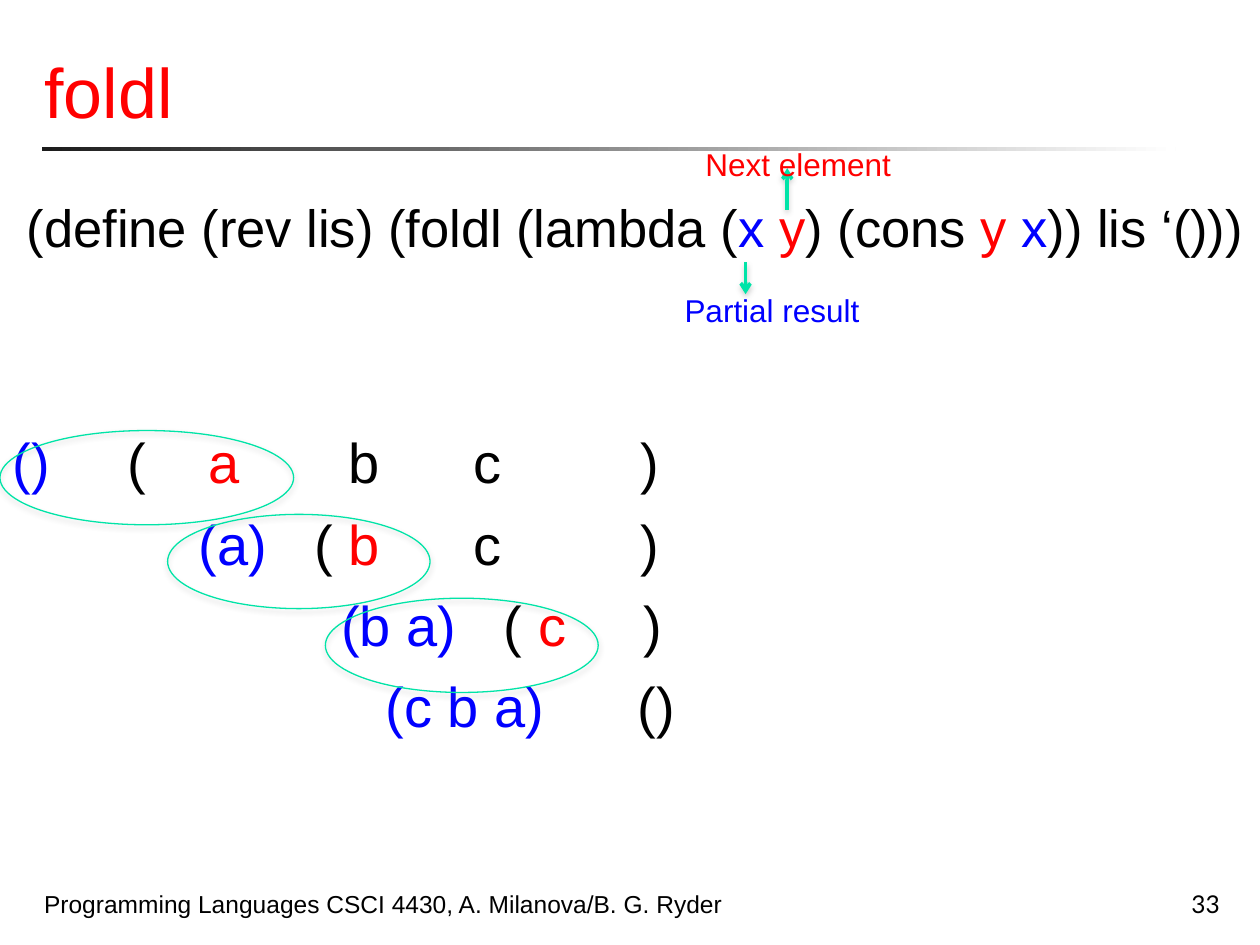
from lxml import etree
from pptx import Presentation
from pptx.dml.color import RGBColor
from pptx.enum.shapes import MSO_CONNECTOR, MSO_SHAPE
from pptx.enum.text import MSO_ANCHOR, PP_ALIGN
from pptx.oxml import parse_xml
from pptx.oxml.ns import nsdecls, qn
from pptx.util import Cm, Pt

COLORS = {
    "black": "000000", "red": "FF0000", "blue": "0000FF", "white": "FFFFFF",
    "ring": "00E4A7", "arrow": "00E4A8", "rule": "1C1C1C", "shadow": "808080",
}

# Each step of the fold: tab stops in cm, then coloured runs
FOLD_STEPS = [
    ([2.32, 3.95, 6.78, 9.29, 12.67],
     [("()", "blue"), ("\t(\t", "black"), ("a", "red"), ("\tb\tc\t)", "black")]),
    ([3.76, 6.09, 9.29, 12.67],
     [("\t(a)", "blue"), ("\t( ", "black"), ("b", "red"), ("\tc\t)", "black")]),
    ([6.63, 9.91, 12.73],
     [("\t(b a)", "blue"), ("\t( ", "black"), ("c", "red"), ("\t)", "black")]),
    ([7.52, 12.61], [("\t(c b a)", "blue"), ("\t()", "black")]),
]
DEFINITION = [
    ("(define (rev lis) (foldl (lambda (", "black"), ("x ", "blue"), ("y", "red"),
    (") (cons ", "black"), ("y ", "red"), ("x", "blue"), (")) lis ‘()))", "black"),
]


def rgb(name):
    return RGBColor.from_string(COLORS[name])


def add_runs(paragraph, runs, size, font="Arial"):
    for text, color in runs:
        run = paragraph.add_run()
        run.text = text
        run.font.name = font
        run.font.size = Pt(size)
        run.font.color.rgb = rgb(color)


def add_text_frame(slide, box, wrap=True, anchor=MSO_ANCHOR.TOP):
    frame = slide.shapes.add_textbox(*map(Cm, box)).text_frame
    frame.word_wrap = wrap
    frame.vertical_anchor = anchor
    return frame


def set_tab_stops(paragraph, stops):
    tabs = etree.SubElement(paragraph._p.get_or_add_pPr(), qn("a:tabLst"))
    for stop in stops:
        etree.SubElement(tabs, qn("a:tab"), pos=str(Cm(stop)), algn="l")


def add_soft_shadow(shape, distance, opacity):
    shape._element.spPr.append(parse_xml(
        f'<a:effectLst {nsdecls("a")}><a:outerShdw blurRad="{Pt(3.1)}" '
        f'dist="{Pt(distance)}" dir="5400000" rotWithShape="0">'
        f'<a:srgbClr val="{COLORS["shadow"]}"><a:alpha val="{opacity * 1000}"/>'
        '</a:srgbClr></a:outerShdw></a:effectLst>'))


def add_heading(slide, box):
    """Title with a fading rule beneath it."""
    left, top, width, height = box
    title = slide.shapes.title
    title.left, title.top, title.width, title.height = map(Cm, box)
    title.text_frame.vertical_anchor = MSO_ANCHOR.BOTTOM
    heading = title.text_frame.paragraphs[0]
    heading.alignment = PP_ALIGN.LEFT
    add_runs(heading, [("foldl", "red")], 40)

    rule = slide.shapes.add_shape(
        MSO_SHAPE.RECTANGLE, Cm(left + 0.2), Cm(top + height + 0.18), Cm(22.86), Cm(0.08))
    rule.shadow.inherit = False
    rule.line.fill.background()
    rule.fill.gradient()
    rule.fill.gradient_angle = 0
    for stop, color in zip(rule.fill.gradient_stops, ("rule", "white")):
        stop.color.rgb = rgb(color)


def add_fold_trace(slide, box):
    """The definition, the fold steps below it, and a ring round each pair combined."""
    left, top = box[:2]
    frame = add_text_frame(slide, box)
    definition = frame.paragraphs[0]
    definition._p.get_or_add_pPr().set("marL", str(Cm(0.29)))
    add_runs(definition, DEFINITION, 30)
    for index, (stops, runs) in enumerate(FOLD_STEPS):
        step = frame.add_paragraph()
        step.space_before = Pt(8 if index else 97)
        set_tab_stops(step, stops)
        add_runs(step, runs, 32)

    for index, (x, width) in enumerate([(0, 5.92), (3.38, 5.29), (6.56, 5.5)]):
        ring = slide.shapes.add_shape(
            MSO_SHAPE.OVAL, Cm(left + x), Cm(top + 4.87 + 1.69 * index), Cm(width), Cm(1.9))
        ring.fill.background()
        ring.line.color.rgb = rgb("ring")
        ring.line.width = Pt(0.75)
        add_soft_shadow(ring, 1.8, 35)


def add_callout(slide, box, label, color, arrow):
    """Label with an arrow; arrow is x, start y and end y from the box corner."""
    left, top = box[:2]
    x, start, end = arrow
    pointer = slide.shapes.add_connector(
        MSO_CONNECTOR.STRAIGHT, Cm(left + x), Cm(top + start), Cm(left + x), Cm(top + end))
    pointer.line.color.rgb = rgb("arrow")
    pointer.line.width = Pt(2)
    etree.SubElement(pointer.line._get_or_add_ln(), qn("a:tailEnd"), type="arrow")
    add_soft_shadow(pointer, 1.6, 38)
    frame = add_text_frame(slide, box, wrap=False)
    add_runs(frame.paragraphs[0], [(label, color)], 18)


def add_footer(slide, box):
    left, top, width, height = box
    course = add_text_frame(slide, (left, top, 16.72, height), anchor=MSO_ANCHOR.BOTTOM)
    add_runs(course.paragraphs[0],
             [("Programming Languages CSCI 4430, A. Milanova/B. G. Ryder", "black")], 14)
    number_width = 5.28
    number = add_text_frame(slide, (left + width - number_width, top, number_width, height),
                            anchor=MSO_ANCHOR.BOTTOM)
    number.paragraphs[0].alignment = PP_ALIGN.RIGHT
    add_runs(number.paragraphs[0], [("33", "black")], 14, "Lato")


def main():
    deck = Presentation()
    deck.slide_width, deck.slide_height = Cm(25.4), Cm(19.05)
    slide = deck.slides.add_slide(deck.slide_layouts[5])
    add_heading(slide, (0.64, 0, 24.18, 2.79))
    add_fold_trace(slide, (0, 3.81, 25.4, 13.34))
    add_callout(slide, (13.97, 2.79, 4.29, 1.02), "Next element", "red", (1.9, 1.44, 0.6))
    add_callout(slide, (13.55, 5.75, 4.04, 1.02), "Partial result", "blue", (1.48, -0.46, 0.18))
    add_footer(slide, (0.64, 17.36, 24.2, 1.27))
    deck.save("out.pptx")


if __name__ == "__main__":
    main()
